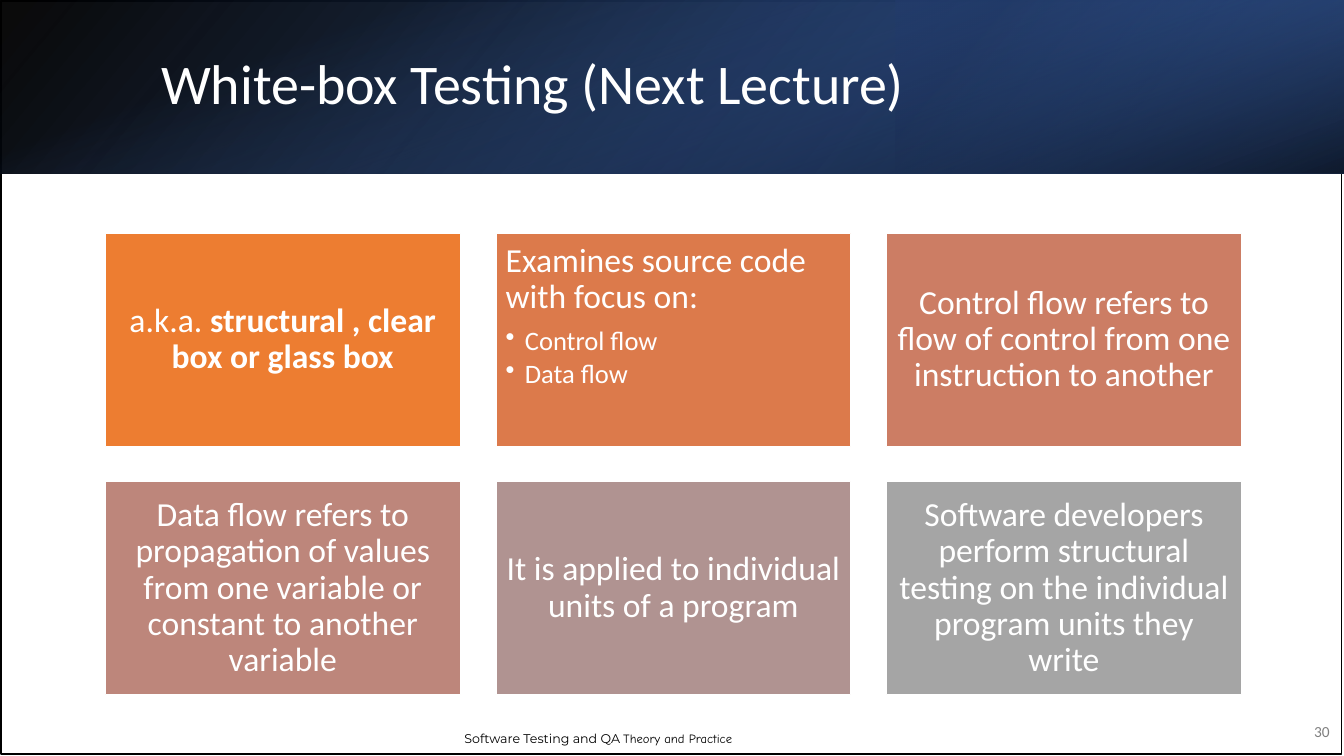
from lxml import etree
from pptx import Presentation
from pptx.dml.color import RGBColor
from pptx.enum.shapes import MSO_SHAPE as Shape
from pptx.enum.text import MSO_ANCHOR as Anchor, PP_ALIGN as Align
from pptx.oxml import parse_xml
from pptx.oxml.ns import nsdecls, qn
from pptx.util import Pt

BLACK = RGBColor(0x00, 0x00, 0x00)
WHITE = RGBColor(0xFF, 0xFF, 0xFF)
GRAY = RGBColor(0x80, 0x80, 0x80)
NAVY = RGBColor(0x20, 0x38, 0x64)
BLUE = RGBColor(0x44, 0x72, 0xC4)
DEEP_BLUE = RGBColor(0x2F, 0x55, 0x97)
CARD_FILLS = [
    RGBColor(0xED, 0x7D, 0x31), RGBColor(0xDC, 0x7A, 0x4B), RGBColor(0xCC, 0x7D, 0x64),
    RGBColor(0xBD, 0x86, 0x7B), RGBColor(0xB0, 0x93, 0x91), RGBColor(0xA5, 0xA5, 0xA5),
]

deck = Presentation()
deck.slide_width, deck.slide_height = Pt(960), Pt(540)
page = deck.slides.add_slide(deck.slide_layouts[6])


def add_rect(left, top, width, height):
    box = page.shapes.add_shape(Shape.RECTANGLE, Pt(left), Pt(top), Pt(width), Pt(height))
    box.shadow.inherit = False
    return box


def add_span(para, text, size, color, font="Calibri", bold=False):
    span = para.add_run()
    span.text = text
    span.font.name, span.font.size, span.font.bold = font, Pt(size), bold
    span.font.color.rgb = color


# Page frame
frame = add_rect(0.7, 0.7, 957.6, 537.8)
frame.fill.background()
frame.line.color.rgb = BLACK
frame.line.width = Pt(1)

# Footer
footer = page.shapes.add_textbox(Pt(152.6), Pt(514.1), Pt(549.4), Pt(27.4))
footer.text_frame.word_wrap = False
footer.text_frame.vertical_anchor = Anchor.MIDDLE
para = footer.text_frame.paragraphs[0]
para.alignment = Align.CENTER
add_span(para, "Software Testing and QA ", 9, BLACK, "Montserrat")
add_span(para, "Theory and Practice", 9, BLACK, "Comic Neue")

# Header band: left, top, width, height, rotation, flipped, angle, stops (position, color, opacity)
BANDS = [
    (0, 0, 960, 123.8, 0, True, 140, [(0, BLACK, 96), (100, DEEP_BLUE, 100)]),
    (640, 0, 320, 123.8, 180, True, 320, [(19, NAVY, 68), (100, BLUE, 79)]),
    (418.1, -418.1, 123.8, 960, 90, False, 340, [(23, BLUE, 0), (99, BLACK, 74)]),
]
for left, top, width, height, rotation, flipped, angle, stops in BANDS:
    band = add_rect(left, top, width, height)
    band.rotation = rotation
    band.line.fill.background()
    props = band.element.spPr
    if flipped:
        props.find(qn("a:xfrm")).set("flipH", "1")
    stop_xml = "".join(
        f'<a:gs pos="{position * 1000}"><a:srgbClr val="{color}">'
        f'<a:alpha val="{opacity * 1000}"/></a:srgbClr></a:gs>'
        for position, color, opacity in stops)
    props.find(qn("a:prstGeom")).addnext(parse_xml(
        f'<a:gradFill {nsdecls("a")} rotWithShape="1"><a:gsLst>{stop_xml}</a:gsLst>'
        f'<a:lin ang="{angle * 60000}" scaled="0"/></a:gradFill>'))

# Title
title = page.shapes.add_textbox(Pt(108), Pt(27.4), Pt(790.6), Pt(69.1))
title.text_frame.word_wrap = True
title.text_frame.vertical_anchor = Anchor.MIDDLE
para = title.text_frame.paragraphs[0]
para.line_spacing = 0.9
add_span(para, "White-box Testing (Next Lecture)", 40, WHITE)

# Page number
number = page.shapes.add_textbox(Pt(921.6), Pt(508.3), Pt(35.3), Pt(28.8))
number.text_frame.word_wrap = True
number.text_frame.vertical_anchor = Anchor.MIDDLE
para = number.text_frame.paragraphs[0]
para.alignment = Align.RIGHT
para.space_after = Pt(6)
add_span(para, "30", 11, GRAY)

# Cards: runs of (text, bold), then bullets
CARDS = [
    ([("a.k.a. ", False), ("structural , clear box or glass box", True)], []),
    ([("Examines source code with focus on:", False)], ["Control flow", "Data flow"]),
    ([("Control flow refers to flow of control from one instruction to another", False)], []),
    ([("Data flow refers to propagation of values from one variable or constant "
       "to another variable", False)], []),
    ([("It is applied to individual units of a program", False)], []),
    ([("Software developers perform structural testing on the individual program "
       "units they write", False)], []),
]
for index, ((spans, bullets), fill) in enumerate(zip(CARDS, CARD_FILLS)):
    row, column = divmod(index, 3)
    card = add_rect(75.2 + 279 * column, 166.6 + 177.4 * row, 253.6, 152.2)
    card.fill.solid()
    card.fill.fore_color.rgb = fill
    card.line.color.rgb = WHITE
    card.line.width = Pt(1)
    body = card.text_frame
    body.word_wrap = True
    body.margin_left = body.margin_right = body.margin_top = body.margin_bottom = Pt(7.2)
    body.vertical_anchor = Anchor.TOP if bullets else Anchor.MIDDLE
    para = body.paragraphs[0]
    para.alignment = Align.LEFT if bullets else Align.CENTER
    para.line_spacing = 0.9
    for text, bold in spans:
        add_span(para, text, 24, WHITE, bold=bold)
    if bullets:
        para.space_after = Pt(8.4)
    for text in bullets:
        para = body.add_paragraph()
        para.level = 1
        para.alignment = Align.LEFT
        para.line_spacing = 0.9
        para.space_after = Pt(2.85)
        props = para._p.get_or_add_pPr()
        props.set("marL", str(Pt(13.7)))
        props.set("indent", str(-Pt(13.7)))
        etree.SubElement(props, qn("a:buChar")).set("char", "•")
        add_span(para, text, 19, WHITE)

deck.save("out.pptx")
